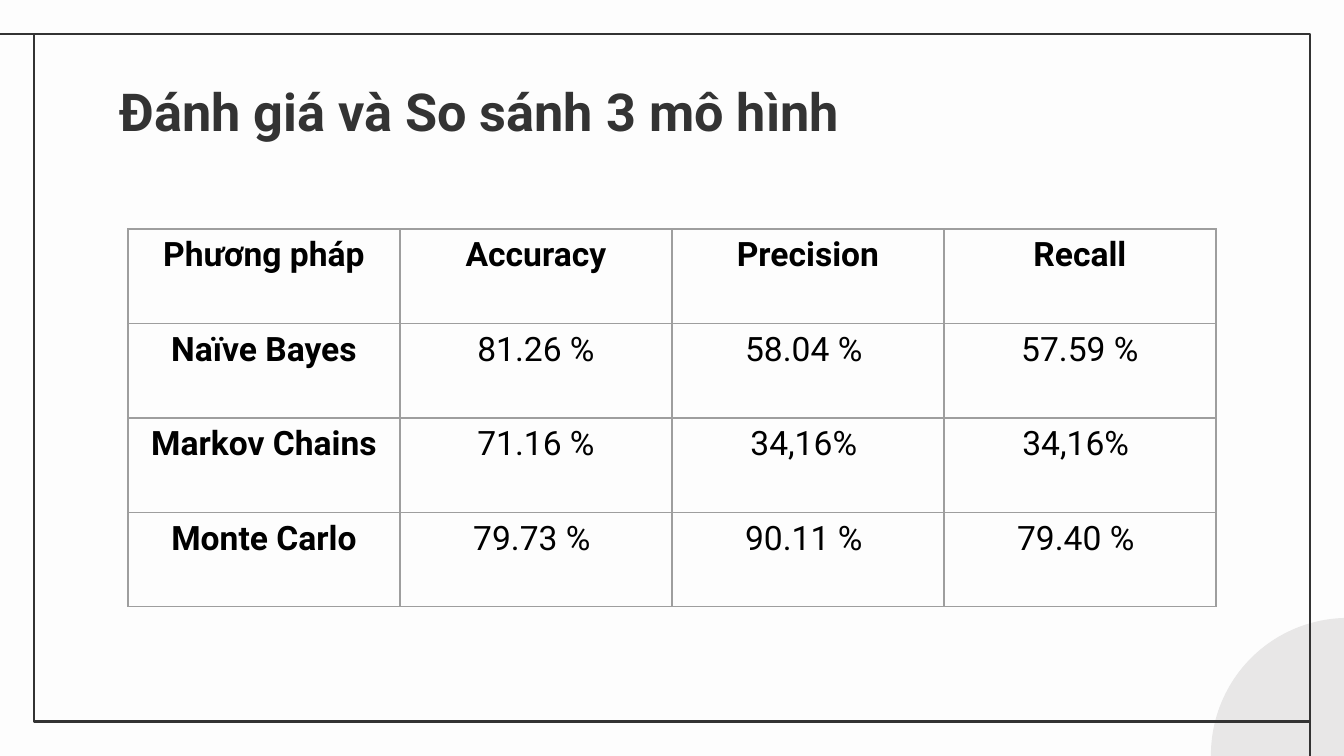
from lxml import etree
from pptx import Presentation
from pptx.dml.color import RGBColor
from pptx.enum.shapes import MSO_CONNECTOR as CONNECTOR, MSO_SHAPE as SHAPE
from pptx.enum.text import MSO_ANCHOR as ANCHOR, PP_ALIGN as ALIGN
from pptx.oxml.ns import qn
from pptx.util import Pt

PX = 914400 / 134.4  # EMU in one px
INK, GRID = "333333", "9E9E9E"


def px(*lengths):
    return [round(length * PX) for length in lengths]


def color(hex_string):
    return RGBColor.from_string(hex_string)


presentation = Presentation()
presentation.slide_width, presentation.slide_height = px(1344, 756)
slide = presentation.slides.add_slide(presentation.slide_layouts[5])
slide.background.fill.solid()
slide.background.fill.fore_color.rgb = color("FDFDFD")

# Corner circle
circle = slide.shapes.add_shape(SHAPE.OVAL, *px(1211, 618, 274, 274))
circle.shadow.inherit = False
circle.fill.solid()
circle.fill.fore_color.rgb = color("E8E7E7")
circle.line.fill.background()

# Frame, with two lines running on to the slide edges
frame = slide.shapes.add_shape(SHAPE.RECTANGLE, *px(34, 34, 1276, 688))
frame.shadow.inherit = False
frame.fill.background()
outlines = [frame]
for ends in [(34, 34, 0, 34), (1310, 722, 1310, 756)]:
    connector = slide.shapes.add_connector(CONNECTOR.STRAIGHT, *px(*ends))
    etree.SubElement(connector._element.spPr, qn("a:effectLst"))
    outlines.append(connector)
for shape in outlines:
    shape.line.color.rgb = color(INK)
    shape.line.width = Pt(1.5)

# Title
title = slide.shapes.title
title.left, title.top, title.width, title.height = px(106, 66, 1133, 85)
title_frame = title.text_frame
title_frame.text = "Đánh giá và So sánh 3 mô hình"
title_format = {"word_wrap": True, "vertical_anchor": ANCHOR.TOP}
for side in ("left", "top", "right", "bottom"):
    title_format[f"margin_{side}"] = Pt(7.2)
for name, value in title_format.items():
    setattr(title_frame, name, value)
paragraph = title_frame.paragraphs[0]
paragraph.alignment = ALIGN.LEFT
for name, value in {"name": "Roboto", "size": Pt(28), "bold": True}.items():
    setattr(paragraph.font, name, value)
paragraph.font.color.rgb = color(INK)

# Comparison table: bold header row and method column
scores = [
    ["Phương pháp", "Accuracy", "Precision", "Recall"],
    ["Naïve Bayes", "81.26 %", "58.04 % ", "57.59 %"],
    ["Markov Chains", "71.16 %", "34,16% ", "34,16% "],
    ["Monte Carlo", "79.73 % ", "90.11 % ", "79.40 % "],
]
table = slide.shapes.add_table(4, 4, *px(128, 229, 1088, 378)).table
table.first_row = table.horz_banding = False
for row, texts in enumerate(scores):
    for column, text in enumerate(texts):
        cell = table.cell(row, column)
        cell.text = text
        paragraph = cell.text_frame.paragraphs[0]
        paragraph.alignment = ALIGN.CENTER
        cell_font = {"name": "Roboto", "size": Pt(18), "bold": row == 0 or column == 0}
        for name, value in cell_font.items():
            setattr(paragraph.font, name, value)
        paragraph.font.color.rgb = color("000000")

        # Borders come before the fill in the cell properties
        properties = cell._tc.get_or_add_tcPr()
        for side in ("lnL", "lnR", "lnT", "lnB"):
            border = etree.SubElement(properties, qn(f"a:{side}"), w=str(Pt(0.75)))
            fill = etree.SubElement(border, qn("a:solidFill"))
            etree.SubElement(fill, qn("a:srgbClr"), val=GRID)
        cell.fill.background()

presentation.save("out.pptx")
